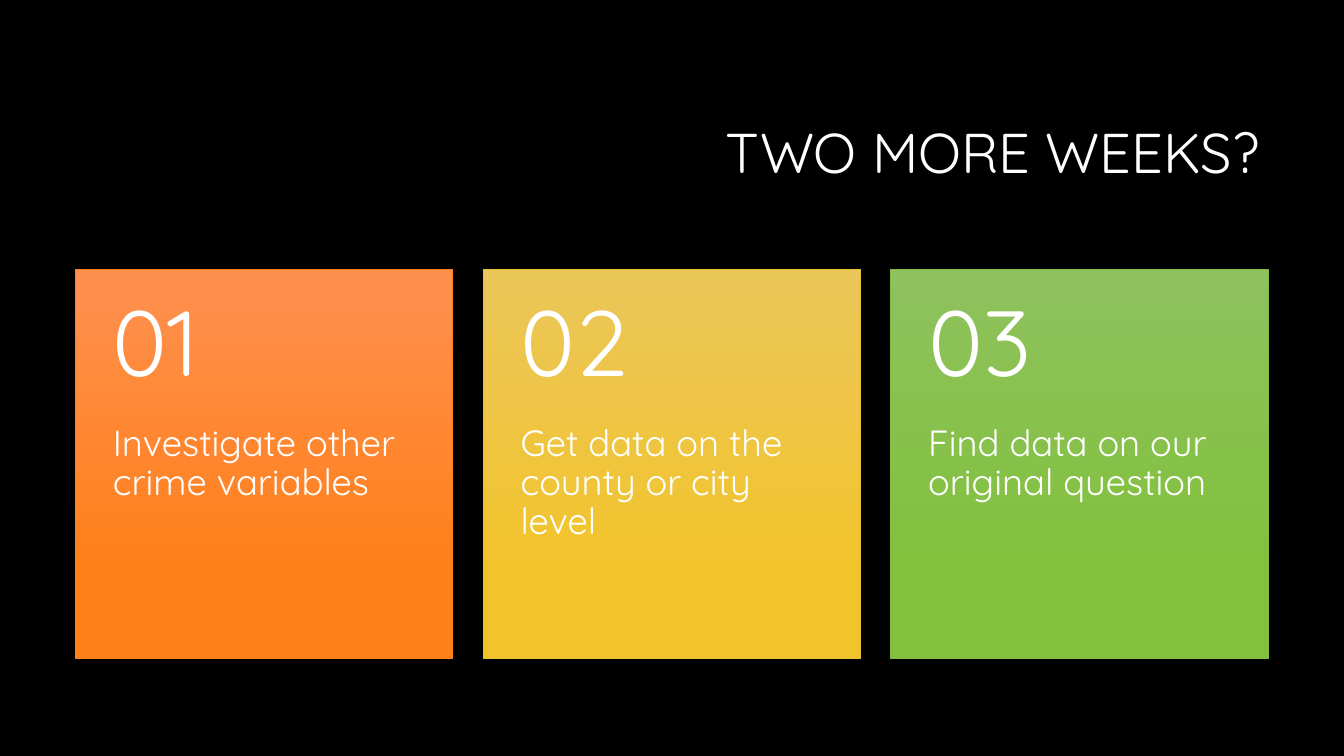
from pptx import Presentation
from pptx.dml.color import RGBColor
from pptx.enum.shapes import MSO_SHAPE
from pptx.enum.text import MSO_ANCHOR, PP_ALIGN
from pptx.util import Inches, Pt

# Content
TITLE = "TWO MORE WEEKS?"
CARDS = [
    ("01", "Investigate other crime variables", "orange"),
    ("02", "Get data on the county or city level", "gold"),
    ("03", "Find data on our original question", "green"),
]

THEME = {
    "font": "Quicksand", "back": "000000", "text": "FFFFFF",
    "title": 40, "number": 66, "body": 26,
    # gradient top, gradient bottom, outline
    "orange": ("FE904F", "FF8019", "FE801A"),
    "gold": ("EBC659", "F2C42C", "E9BF35"),
    "green": ("8FC15E", "81C13C", "81BB42"),
}

# Grid, in inches
WIDE, HIGH = 13.33, 7.5
LEFT, TOP, GAP = 0.75, 2.67, 0.3
CARD_W = (WIDE - 2 * LEFT - (len(CARDS) - 1) * GAP) / len(CARDS)
CARD_H = 3.86
HEAD_H = 0.4 * CARD_H
PAD_X, PAD_Y = 0.37, 0.18


def color(name):
    return RGBColor.from_string(name)


def write(frame, text, size, anchor, align=PP_ALIGN.LEFT):
    frame.word_wrap = True
    frame.vertical_anchor = anchor
    frame.text = text
    para = frame.paragraphs[0]
    para.alignment = align
    para.line_spacing = 0.9
    para.font.name = THEME["font"]
    para.font.size = Pt(THEME[size])
    para.font.color.rgb = color(THEME["text"])


def add_text(shapes, box, text, size, anchor, above, below):
    frame = shapes.add_textbox(*map(Inches, box)).text_frame
    frame.margin_left = frame.margin_right = Inches(PAD_X)
    frame.margin_top, frame.margin_bottom = Inches(above), Inches(below)
    write(frame, text, size, anchor)


def add_panel(shapes, box, hues):
    panel = shapes.add_shape(MSO_SHAPE.RECTANGLE, *map(Inches, box))
    panel.shadow.inherit = False
    panel.fill.gradient()
    panel.fill.gradient_angle = 270
    for stop, place, hue in zip(panel.fill.gradient_stops, (0, 0.78), hues):
        stop.position = place
        stop.color.rgb = color(hue)
    panel.line.color.rgb = color(hues[2])
    panel.line.width = Pt(0.75)


def main():
    deck = Presentation()
    deck.slide_width, deck.slide_height = Inches(WIDE), Inches(HIGH)
    slide = deck.slides.add_slide(deck.slide_layouts[5])
    slide.background.fill.solid()
    slide.background.fill.fore_color.rgb = color(THEME["back"])

    # Title
    title = slide.shapes.title
    title.left, title.top = Inches(3.17), Inches(0.84)
    title.width, title.height = Inches(9.42), Inches(1.41)
    write(title.text_frame, TITLE, "title", MSO_ANCHOR.MIDDLE, PP_ALIGN.RIGHT)

    # Cards: panel, body text, number
    group = slide.shapes.add_group_shape().shapes
    for col, (number, body, hue) in enumerate(CARDS):
        x = LEFT + col * (CARD_W + GAP)
        add_panel(group, (x, TOP, CARD_W, CARD_H), THEME[hue])
        add_text(group, (x, TOP + HEAD_H, CARD_W, CARD_H - HEAD_H),
                 body, "body", MSO_ANCHOR.TOP, 0, 2 * PAD_Y)
        add_text(group, (x, TOP, CARD_W, HEAD_H),
                 number, "number", MSO_ANCHOR.MIDDLE, PAD_Y, PAD_Y)

    deck.save("out.pptx")


if __name__ == "__main__":
    main()
